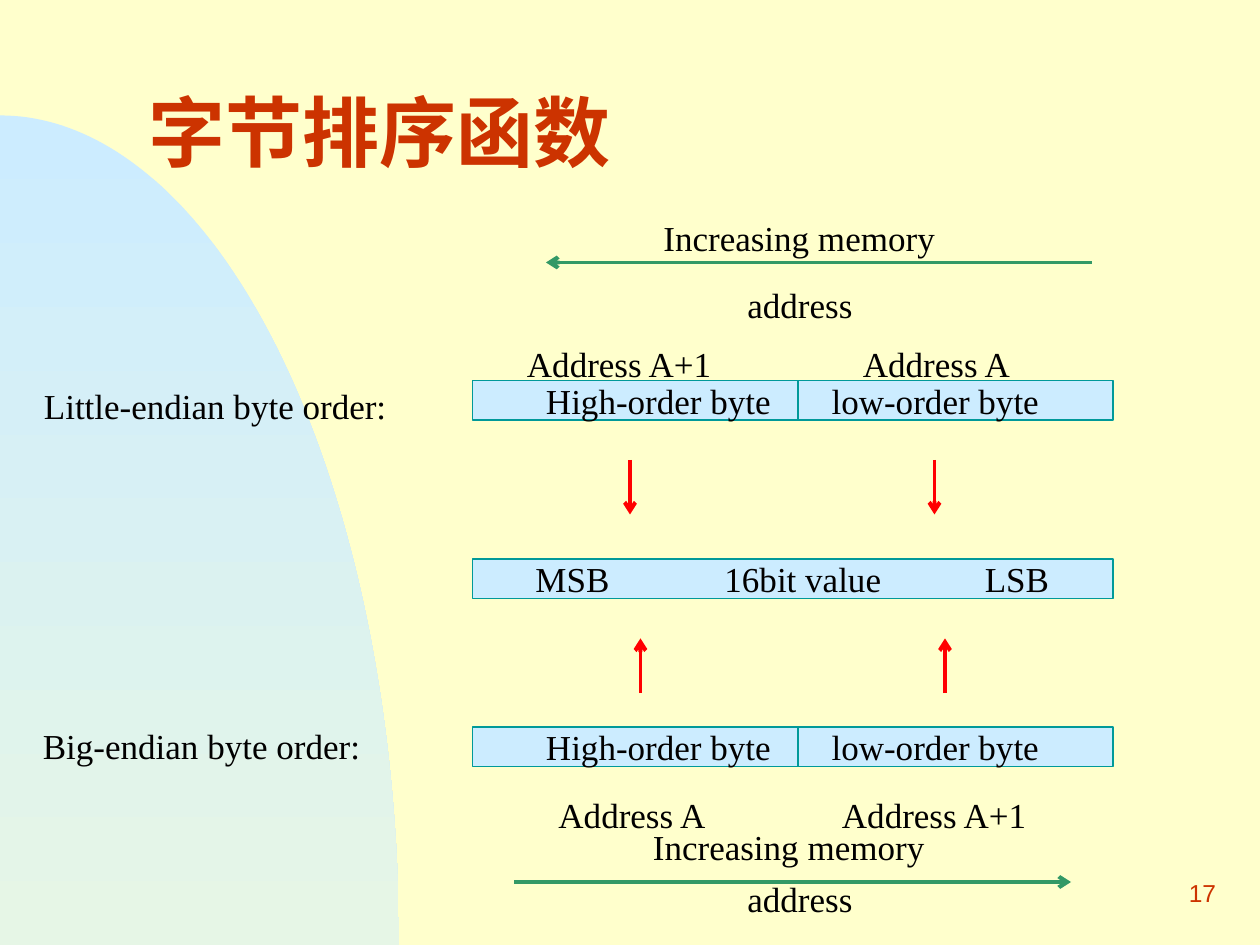
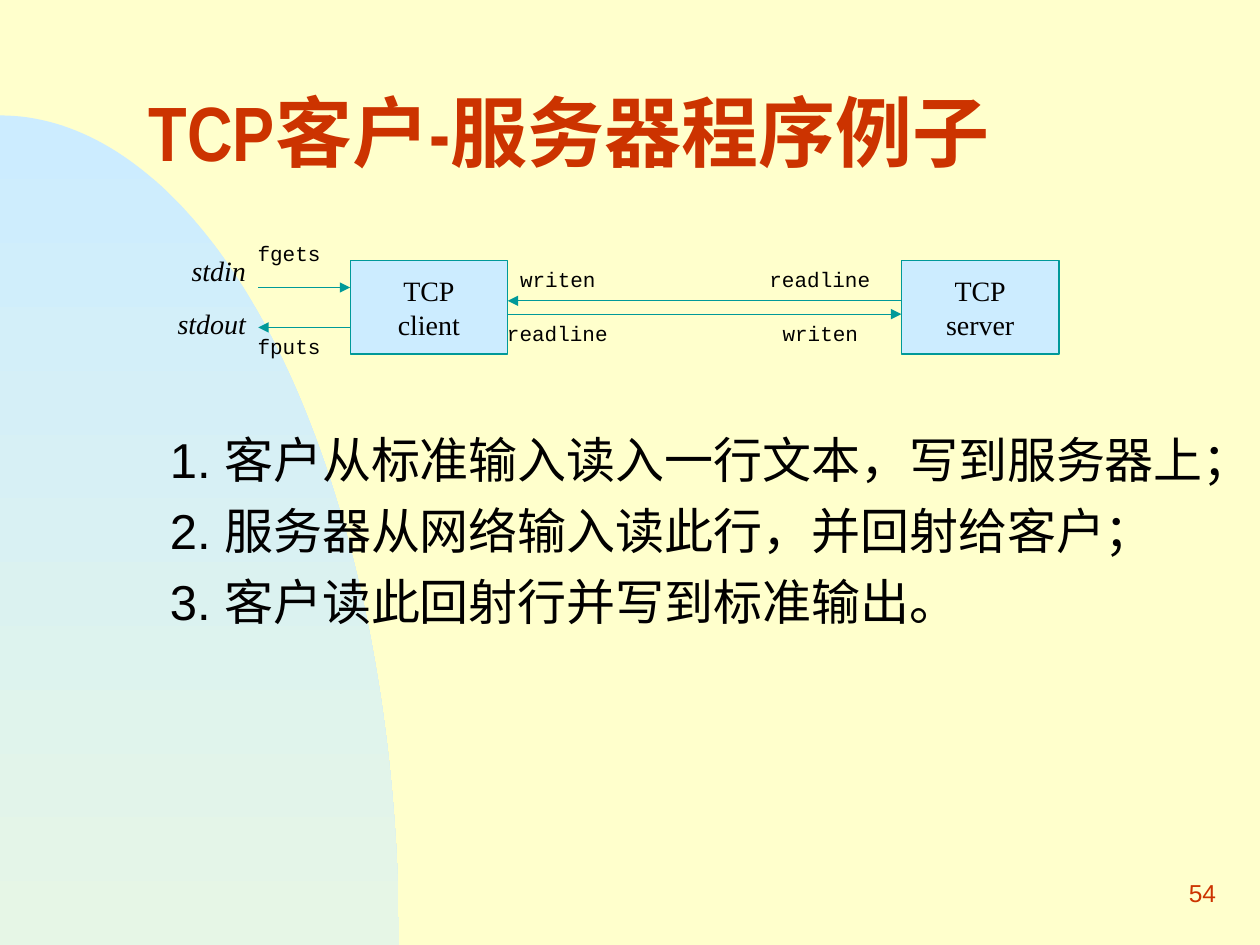
"""Two slides on byte order and on a TCP client-server exchange."""
from dataclasses import dataclass
from math import cos, pi, sin

from lxml.etree import SubElement
from pptx import Presentation
from pptx.dml.color import RGBColor
from pptx.enum.shapes import MSO_CONNECTOR as Link, MSO_SHAPE as Preset
from pptx.enum.text import MSO_ANCHOR as Anchor, PP_ALIGN as Align
from pptx.oxml.ns import qn
from pptx.util import Inches, Pt


@dataclass(frozen=True)
class Theme:
    paper: RGBColor = RGBColor.from_string("FFFFCC")
    sky: RGBColor = RGBColor.from_string("CCECFF")
    mist: RGBColor = RGBColor.from_string("E6F6E6")
    heading: RGBColor = RGBColor.from_string("CC3300")
    ink: RGBColor = RGBColor.from_string("010000")
    teal: RGBColor = RGBColor.from_string("009999")
    green: RGBColor = RGBColor.from_string("339966")
    red: RGBColor = RGBColor.from_string("FF0000")
    serif: str = "Times New Roman"
    sans: str = "Arial"
    narrow: str = "Arial Narrow"
    mono: str = "Courier New"
    title: int = 44
    body: int = 28
    label: int = 20
    node: int = 16
    number: int = 14
    call: int = 12


theme = Theme()
deck = Presentation()
deck.slide_width, deck.slide_height = Inches(10), Inches(7.5)
COL, ROW = deck.slide_width / 120, deck.slide_height / 90


def write(slide, text, col, row, cols, rows, *, size=theme.label, font=theme.serif,
          color=theme.ink, bold=False, italic=False, align=Align.LEFT, anchor=Anchor.TOP,
          border=None, inset=1.2, tabs=(), spacing=None, before=0, hanging=0):
    """Put text at a grid place; a border width makes it a filled box."""
    place = [round(n) for n in (col * COL, row * ROW, cols * COL, rows * ROW)]
    if border:
        holder = slide.shapes.add_shape(Preset.RECTANGLE, *place)
        holder.shadow.inherit = False
        holder.fill.solid()
        holder.fill.fore_color.rgb = theme.sky
        holder.line.color.rgb = theme.teal
        holder.line.width = Pt(border)
    else:
        holder = slide.shapes.add_textbox(*place)
    frame = holder.text_frame
    frame.word_wrap = True
    frame.vertical_anchor = anchor
    frame.margin_left = round(inset * COL)
    for index, line in enumerate(text.split("\n")):
        paragraph = frame.add_paragraph() if index else frame.paragraphs[0]
        layout = paragraph._p.get_or_add_pPr()
        if hanging:
            layout.set("marL", str(round(hanging * COL)))
            layout.set("indent", str(-round(hanging * COL)))
        if tabs:
            stops = SubElement(layout, qn("a:tabLst"))
            for stop in tabs:
                SubElement(stops, qn("a:tab"), pos=str(round(stop * COL)), algn="l")
        paragraph.alignment = align
        paragraph.line_spacing = spacing
        paragraph.space_before = Pt(before if index else 0)
        run = paragraph.add_run()
        run.text = line
        run.font.name, run.font.size = font, Pt(size)
        run.font.bold, run.font.italic = bold, italic
        run.font.color.rgb = color


def connect(slide, start, end, color, width, head=None):
    """Draw a line between two grid points, with an optional arrowhead."""
    points = [round(n) for col, row in (start, end) for n in (col * COL, row * ROW)]
    link = slide.shapes.add_connector(Link.STRAIGHT, *points)
    link.line.color.rgb = color
    link.line.width = Pt(width)
    if head:
        SubElement(link.line._get_or_add_ln(), qn("a:tailEnd"), type=head)
    SubElement(link._element.spPr, qn("a:effectLst"))


backdrop = deck.slide_master.background.fill
backdrop.solid()
backdrop.fore_color.rgb = theme.paper

slides = []
for title, number in (("字节排序函数", "17"), ("TCP客户-服务器程序例子", "54")):
    slide = deck.slides.add_slide(deck.slide_layouts[6])
    slides.append(slide)
    steps = 90
    curve = [(38 * sin(pi / 2 * n / steps) * COL, (90 - 79 * cos(pi / 2 * n / steps)) * ROW)
             for n in range(steps + 1)]
    outline = slide.shapes.build_freeform(0, round(11 * ROW))
    outline.add_line_segments([(round(x), round(y)) for x, y in curve[1:]]
                              + [(0, deck.slide_height)])
    hill = outline.convert_to_shape()
    hill.shadow.inherit = False
    hill.line.fill.background()
    hill.fill.gradient()
    hill.fill.gradient_angle = 270
    for stop, shade in zip(hill.fill.gradient_stops, (theme.sky, theme.mist)):
        stop.color.rgb = shade
    write(slide, title, 13, 8, 102, 11, size=theme.title, font=theme.narrow,
          color=theme.heading, bold=True, anchor=Anchor.MIDDLE, spacing=0.7)
    write(slide, number, 92, 82, 25, 6, size=theme.number, font=theme.sans,
          color=theme.heading, align=Align.RIGHT, anchor=Anchor.MIDDLE)

byte_order, exchange = slides

halves = "High-order byte\tlow-order byte"
for content, row, inset, tabs in ((halves, 36.25, 7, [27.2]),
                                  ("MSB\t16bit value\tLSB", 53.25, 6, [18, 42.8]),
                                  (halves, 69.25, 7, [27.2])):
    write(byte_order, content, 45, row, 61, 3.75, border=1, inset=inset, tabs=tabs,
          anchor=Anchor.MIDDLE)
    if content == halves:
        connect(byte_order, (76, row + 3.75), (76, row), theme.teal, 1)

for columns, start, end in (((60, 89), 43.8, 49), ((61, 90), 66, 60.8)):
    for col in columns:
        connect(byte_order, (col, start), (col, end), theme.red, 2.25, "arrow")
for start, end, row in ((104, 52, 25), (49, 102, 84)):
    connect(byte_order, (start, row), (end, row), theme.green, 2.25, "arrow")

for label, col, row in (("Increasing memory", 62, 20), ("address", 70, 26.4),
                        ("Address A+1", 49, 32), ("Address A", 81, 32),
                        ("Little-endian byte order:", 3, 36),
                        ("Big-endian byte order:", 2.9, 68.4),
                        ("Address A", 52, 75), ("Address A+1", 79, 75),
                        ("Increasing memory", 61, 78), ("address", 70, 83)):
    write(byte_order, label, col, row, 38, 5.3)

write(exchange, "1. 客户从标准输入读入一行文本，写到服务器上；\n"
      "2. 服务器从网络输入读此行，并回射给客户；\n"
      "3. 客户读此回射行并写到标准输出。",
      15, 40.3, 101, 40.7, size=theme.body, font=theme.sans, before=7, hanging=4.5)

LEFT, TOP, STEP_X, STEP_Y = 24.6, 22.3, 1.25, 1.27
for role, step in (("client", 7), ("server", 49)):
    write(exchange, f"TCP\n{role}", LEFT + step * STEP_X, TOP + 2 * STEP_Y,
          12 * STEP_X, 7 * STEP_Y, size=theme.node, border=0.75,
          align=Align.CENTER, anchor=Anchor.MIDDLE)
for start, end, step in ((49, 19, 5), (19, 49, 6), (0, 7, 4), (7, 0, 7)):
    row = TOP + step * STEP_Y
    connect(exchange, (LEFT + start * STEP_X, row), (LEFT + end * STEP_X, row),
            theme.teal, 0.75, "triangle")
for stream, width, step in (("stdin", 8, 1), ("stdout", 11, 5)):
    write(exchange, stream, LEFT - width * STEP_X, TOP + step * STEP_Y, width * STEP_X, 4.4,
          size=theme.node, italic=True, align=Align.RIGHT)
for call, across, down in (("fgets", -1, 0), ("fputs", -1, 7), ("writen", 19, 2),
                           ("readline", 18, 6), ("readline", 38, 2), ("writen", 39, 6)):
    write(exchange, call, LEFT + across * STEP_X, TOP + down * STEP_Y, 17 * STEP_X, 3.6,
          size=theme.call, font=theme.mono)

deck.save("out.pptx")
